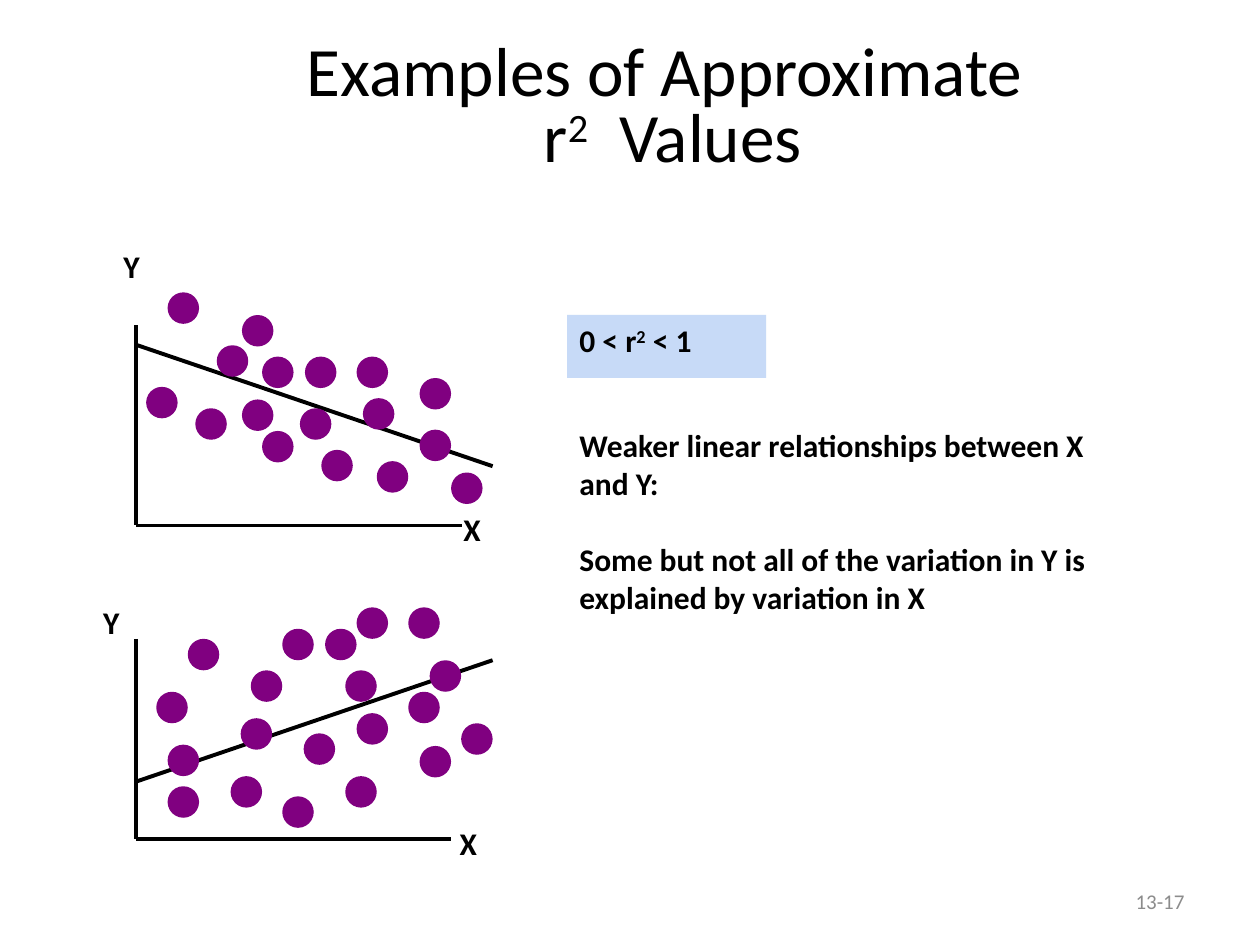
from lxml import etree
from pptx import Presentation
from pptx.dml.color import RGBColor
from pptx.enum.shapes import MSO_CONNECTOR, MSO_SHAPE
from pptx.enum.text import MSO_ANCHOR, MSO_AUTO_SIZE, PP_ALIGN
from pptx.oxml.ns import qn
from pptx.util import Inches, Pt

BLACK, GREY, PURPLE, PALE_BLUE = "000000", "8C8C8C", "800080", "C7DAF7"
FONT = "Calibri"
AXIS_HEIGHT = 1.59
DOT_SIZE = 0.25

FALLING_DOTS = [
    (0.08, 0.49), (0.25, -0.26), (0.47, 0.66), (0.64, 0.16), (0.84, -0.08), (0.84, 0.59),
    (1, 0.25), (1, 0.84), (1.3, 0.66), (1.34, 0.25), (1.47, 0.99), (1.75, 0.25),
    (1.8, 0.58), (1.91, 1.08), (2.25, 0.42), (2.25, 0.83), (2.5, 1.17),
]
RISING_DOTS = [
    (0.16, 0.42), (0.25, 0.84), (0.25, 1.17), (0.41, 0), (0.75, 1.09), (0.83, 0.63),
    (0.91, 0.25), (1.16, -0.08), (1.16, 1.25), (1.33, 0.75), (1.5, -0.08), (1.66, 0.25),
    (1.66, 1.09), (1.75, -0.25), (1.75, 0.59), (2.16, -0.25), (2.16, 0.42), (2.25, 0.85),
    (2.33, 0.17), (2.58, 0.67),
]


def color(hex_string):
    return RGBColor.from_string(hex_string)


def add_run(paragraph, text, size=18, bold=True, ink=BLACK, raised=False):
    run = paragraph.add_run()
    run.text = text
    run.font.name = FONT
    run.font.size = Pt(size)
    run.font.bold = bold
    run.font.color.rgb = color(ink)
    if raised:
        run.font._element.set("baseline", "30000")


def add_text_box(slide, left, top, width, height):
    box = slide.shapes.add_textbox(Inches(left), Inches(top), Inches(width), Inches(height))
    box.text_frame.word_wrap = True
    return box


def add_line(slide, start, end, width):
    points = [Inches(value) for value in (*start, *end)]
    line = slide.shapes.add_connector(MSO_CONNECTOR.STRAIGHT, *points)
    line.line.color.rgb = color(BLACK)
    line.line.width = Pt(width)
    etree.SubElement(line._element.spPr, qn("a:effectLst"))


def add_dot(slide, left, top):
    dot = slide.shapes.add_shape(
        MSO_SHAPE.OVAL, Inches(left), Inches(top), Inches(DOT_SIZE), Inches(DOT_SIZE))
    dot.shadow.inherit = False
    dot.fill.solid()
    dot.fill.fore_color.rgb = color(PURPLE)
    dot.line.fill.background()


def add_scatter(slide, left, top, axis_width, trend, dots, labels):
    def place(point):
        return left + point[0], top + point[1]

    corner = place((0, AXIS_HEIGHT))
    add_line(slide, (left, top), corner, 2)
    add_line(slide, corner, place((axis_width, AXIS_HEIGHT)), 2)
    add_line(slide, place(trend[0]), place(trend[1]), 2.25)
    for dot in dots:
        add_dot(slide, *place(dot))
    for name, point in labels.items():
        label = add_text_box(slide, *place(point), 0.42, 0.5)
        add_run(label.text_frame.paragraphs[0], name)


def add_title(slide, left, top, width, height):
    title = slide.shapes.title
    title.left, title.top = Inches(left), Inches(top)
    title.width, title.height = Inches(width), Inches(height)
    frame = title.text_frame
    frame.auto_size = MSO_AUTO_SIZE.NONE
    frame.vertical_anchor = MSO_ANCHOR.MIDDLE
    paragraph = frame.paragraphs[0]
    paragraph.alignment = PP_ALIGN.CENTER
    paragraph.line_spacing = 0.8
    add_run(paragraph, "Examples of Approximate ", 39.6, False)
    paragraph.add_line_break()
    add_run(paragraph, "r", 39.6, False)
    add_run(paragraph, "2", 39.6, False, raised=True)
    add_run(paragraph, "  Values", 39.6, False)


def add_explanation(slide, left, top, width):
    band = add_text_box(slide, left, top, 1.58, 0.5)
    band.fill.solid()
    band.fill.fore_color.rgb = color(PALE_BLUE)
    formula = band.text_frame.paragraphs[0]
    add_run(formula, "0 < r")
    add_run(formula, "2", raised=True)
    add_run(formula, " < 1")

    frame = add_text_box(slide, left, top + 0.83, width, 2.5).text_frame
    add_run(frame.paragraphs[0], "Weaker linear relationships between X and Y:")
    detail = frame.add_paragraph()
    detail.space_before = Pt(22)
    add_run(detail, "Some but not all of the variation in Y is explained by variation in X")


def add_page_number(slide, left, top, width, height):
    frame = add_text_box(slide, left, top, width, height).text_frame
    frame.vertical_anchor = MSO_ANCHOR.MIDDLE
    frame.paragraphs[0].alignment = PP_ALIGN.RIGHT
    add_run(frame.paragraphs[0], "13-17", 12, False, GREY)


prs = Presentation()
prs.slide_width, prs.slide_height = Inches(10), Inches(7.5)
slide = prs.slides.add_slide(prs.slide_layouts[5])
add_title(slide, 1.08, 0.33, 8.52, 1.08)
add_scatter(slide, 1.08, 2.58, 2.59, [(0.01, 0.16), (2.83, 1.12)], FALLING_DOTS,
            {"Y": (-0.2, -0.67), "X": (2.5, 1.42)})
add_scatter(slide, 1.08, 5.07, 2.5, [(0.01, 1.13), (2.83, 0.17)], RISING_DOTS,
            {"Y": (-0.36, -0.33), "X": (2.47, 1.42)})
add_explanation(slide, 4.5, 2.5, 4.58)
add_page_number(slide, 7.17, 6.95, 2.33, 0.4)
prs.save("out.pptx")
